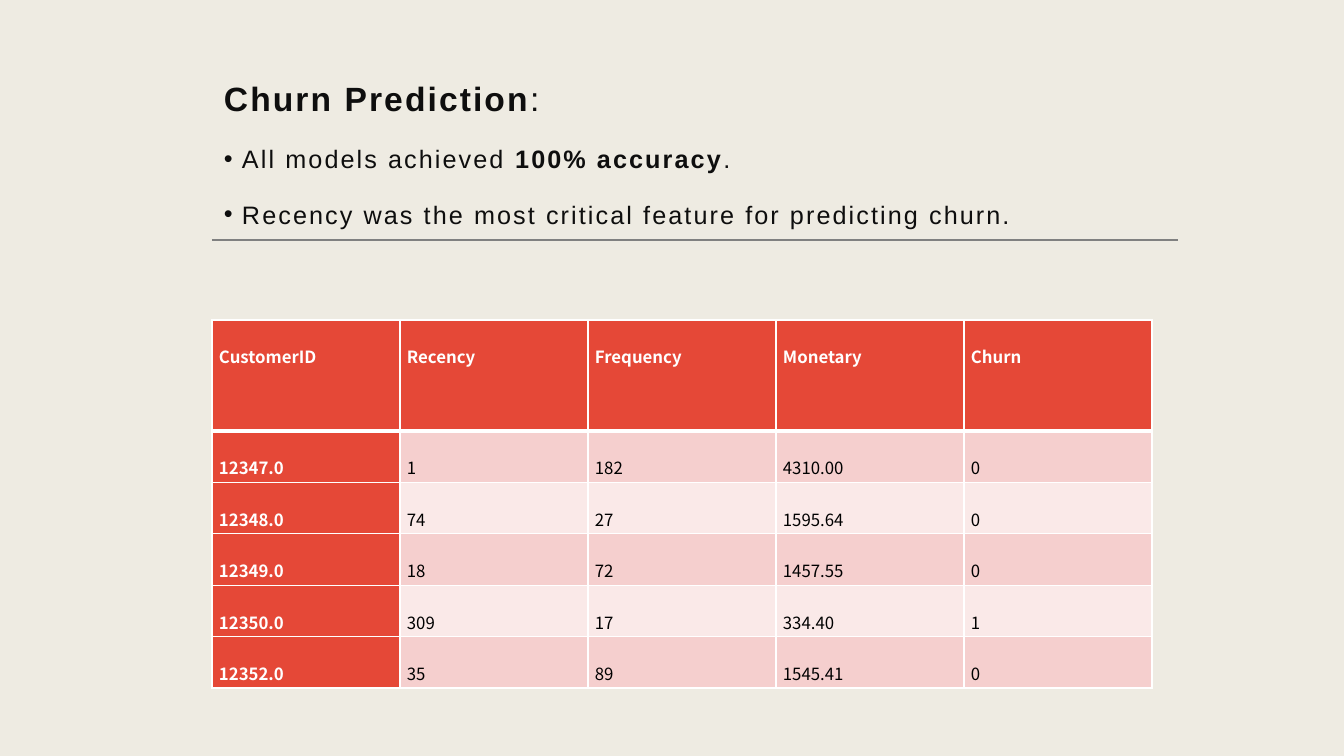
from dataclasses import dataclass

import pptx
import pptx.dml.color
import pptx.enum.shapes
import pptx.enum.text
import pptx.oxml
import pptx.oxml.ns
import pptx.util

HEADING = [("Churn Prediction", True), (":", False)]
FINDINGS = [
    [("All models achieved ", False), ("100% accuracy", True), (".", False)],
    [("Recency was the most critical feature for predicting churn.", False)],
]
CUSTOMERS = [
    ("CustomerID", "Recency", "Frequency", "Monetary", "Churn"),
    ("12347.0", "1", "182", "4310.00", "0"),
    ("12348.0", "74", "27", "1595.64", "0"),
    ("12349.0", "18", "72", "1457.55", "0"),
    ("12350.0", "309", "17", "334.40", "1"),
    ("12352.0", "35", "89", "1545.41", "0"),
]

SLIDE_SIZE = (1344, 756)
BODY_BOX = (212, 50, 966, 607)
BODY_INSET = 12
BULLET_INDENT = 18
RULE = (212, 240, 1178, 240)
TABLE_BOX = (212, 320, 940, 368)
HEADER_HEIGHT = 111
CELL_INSET = 7


@dataclass(frozen=True)
class Theme:
    background: str = "EEEBE2"
    text: str = "0E0E0E"
    rule: str = "808080"
    accent: str = "E54837"
    bands: tuple = ("F5CFCE", "FAE9E8")
    border: str = "FFFFFF"
    cell_text: str = "000000"
    text_font: str = "Arial"
    table_font: str = "Noto Sans CJK JP"
    heading_size: int = 24
    finding_size: int = 18
    cell_size: int = 12
    letter_spacing: float = 1.5


THEME = Theme()


def px(length):
    return pptx.util.Emu(round(length * 914400 / 100.8))


def rgb(value):
    return pptx.dml.color.RGBColor.from_string(value)


def add_element(parent, xml):
    tag, rest = xml.split(" ", 1) if " " in xml else (xml, "")
    namespace = pptx.oxml.ns.nsdecls("a")
    parent.append(pptx.oxml.parse_xml(f"<a:{tag} {namespace} {rest}/>"))


def format_run(run, font, size, color, bold):
    run.font.name = font
    run.font.size = pptx.util.Pt(size)
    run.font.color.rgb = rgb(color)
    run.font.bold = bold


def write_line(paragraph, parts, size, bulleted):
    properties = paragraph._p.get_or_add_pPr()
    indent = px(BULLET_INDENT) if bulleted else 0
    properties.set("marL", str(indent))
    properties.set("indent", str(-indent))
    add_element(properties, 'buChar char="•"' if bulleted else "buNone")
    paragraph.alignment = pptx.enum.text.PP_ALIGN.LEFT
    paragraph.line_spacing = 1.4
    paragraph.space_before = pptx.util.Pt(9.3 if bulleted else 0)
    for text, bold in parts:
        run = paragraph.add_run()
        run.text = text
        format_run(run, THEME.text_font, size, THEME.text, bold)
        run._r.get_or_add_rPr().set("spc", str(int(THEME.letter_spacing * 100)))


def fill_body(body):
    body.left, body.top, body.width, body.height = map(px, BODY_BOX)
    frame = body.text_frame
    frame.word_wrap = True
    frame.auto_size = pptx.enum.text.MSO_AUTO_SIZE.NONE
    frame.vertical_anchor = pptx.enum.text.MSO_ANCHOR.TOP
    frame.margin_left = frame.margin_right = px(BODY_INSET)
    frame.margin_top = frame.margin_bottom = px(BODY_INSET)
    write_line(frame.paragraphs[0], HEADING, THEME.heading_size, False)
    for finding in FINDINGS:
        write_line(frame.add_paragraph(), finding, THEME.finding_size, True)


def add_rule(slide):
    rule = slide.shapes.add_connector(
        pptx.enum.shapes.MSO_CONNECTOR.STRAIGHT, *map(px, RULE))
    rule.line.color.rgb = rgb(THEME.rule)
    rule.line.width = pptx.util.Pt(2)
    add_element(rule._element.spPr, "effectLst")


def set_borders(cell, row):
    widths = {"L": 1, "R": 1, "T": 3 if row == 1 else 1, "B": 3 if row == 0 else 1}
    namespace = pptx.oxml.ns.nsdecls("a")
    for side, width in widths.items():
        cell._tc.get_or_add_tcPr().append(pptx.oxml.parse_xml(
            f'<a:ln{side} {namespace} w="{pptx.util.Pt(width)}"><a:solidFill>'
            f'<a:srgbClr val="{THEME.border}"/></a:solidFill></a:ln{side}>'))


def fill_cell(cell, text, row, column):
    is_header = row == 0 or column == 0
    set_borders(cell, row)
    cell.fill.solid()
    cell.fill.fore_color.rgb = rgb(THEME.accent if is_header else THEME.bands[(row - 1) % 2])
    cell.margin_left = cell.margin_right = px(CELL_INSET)
    cell.margin_top = cell.margin_bottom = 0
    cell.text_frame.text = text
    paragraph = cell.text_frame.paragraphs[0]
    paragraph.alignment = pptx.enum.text.PP_ALIGN.JUSTIFY
    paragraph.line_spacing = 2.0
    color = THEME.border if is_header else THEME.cell_text
    format_run(paragraph.runs[0], THEME.table_font, THEME.cell_size, color, is_header)


def add_customer_table(slide):
    row_count, column_count = len(CUSTOMERS), len(CUSTOMERS[0])
    table = slide.shapes.add_table(row_count, column_count, *map(px, TABLE_BOX)).table
    table.first_col = True
    for column in table.columns:
        column.width = px(TABLE_BOX[2] / column_count)
    for index, row in enumerate(table.rows):
        body_height = (TABLE_BOX[3] - HEADER_HEIGHT) / (row_count - 1)
        row.height = px(body_height if index else HEADER_HEIGHT)
    for row, values in enumerate(CUSTOMERS):
        for column, text in enumerate(values):
            fill_cell(table.cell(row, column), text, row, column)


def main():
    presentation = pptx.Presentation()
    presentation.slide_width, presentation.slide_height = map(px, SLIDE_SIZE)
    slide = presentation.slides.add_slide(presentation.slide_layouts[1])
    slide.background.fill.solid()
    slide.background.fill.fore_color.rgb = rgb(THEME.background)
    title = slide.shapes.title._element
    title.getparent().remove(title)
    add_rule(slide)
    fill_body(slide.placeholders[1])
    add_customer_table(slide)
    presentation.save("out.pptx")


if __name__ == "__main__":
    main()
